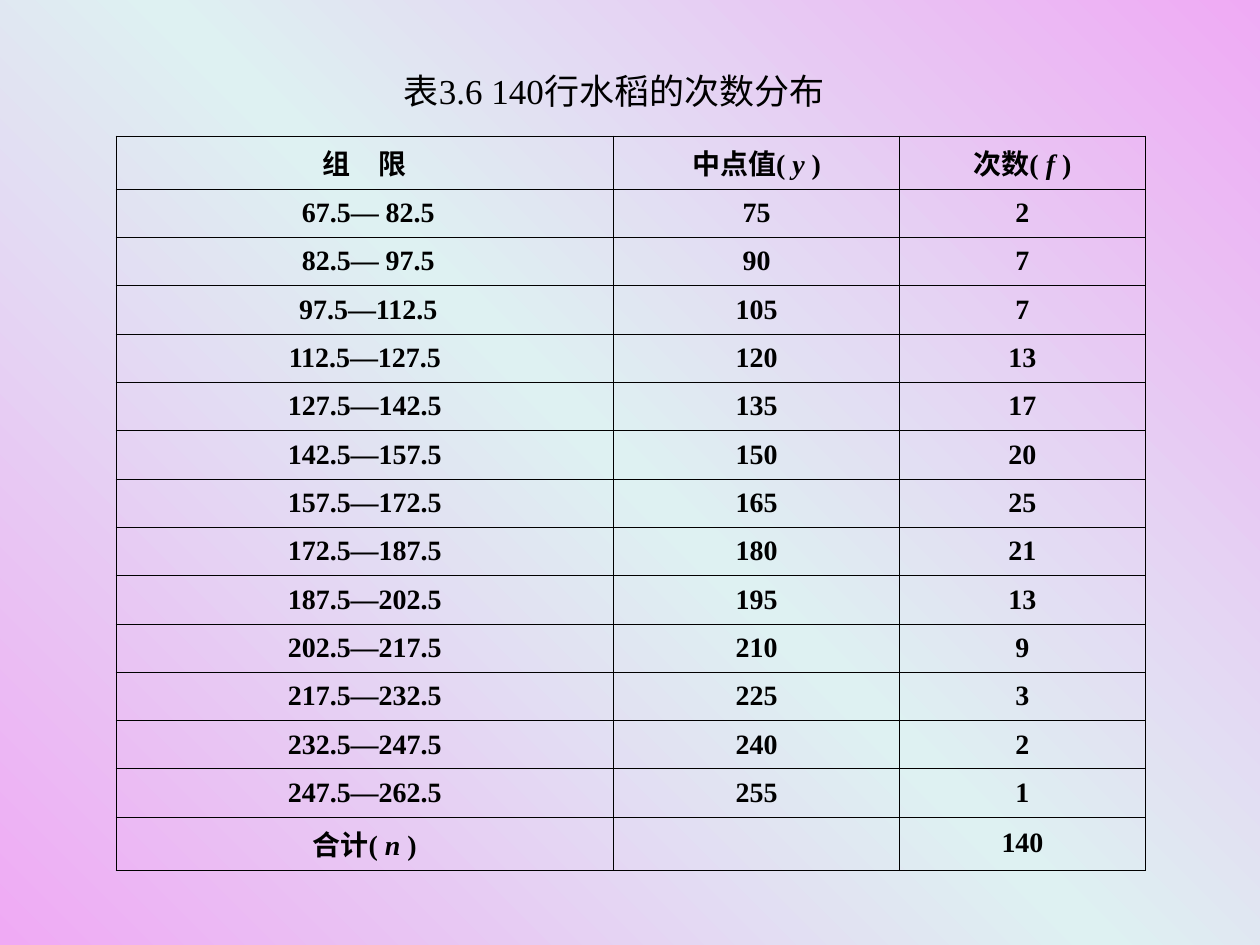
from copy import deepcopy
from dataclasses import dataclass
from pptx import Presentation
from pptx.dml.color import RGBColor as Rgb
from pptx.enum.text import MSO_ANCHOR as Anchor, MSO_AUTO_SIZE as Auto, PP_ALIGN as Align
from pptx.oxml import parse_xml
from pptx.oxml.ns import nsdecls
from pptx.util import Inches, Pt

HUES = {"ink": "000000", "pink": "EFAAF4", "mint": "DEF1F2"}
FONT = "Times New Roman"
WIDE, HIGH = 10, 7.5
LEFT, TOP, TALL = 0.92, 1.08, 5.83
COLS = (3.95, 2.27, 1.95)
EDGE_ROW = 0.42
THIN, BOLD = 0.34, 0.45
STEP = 15
COUNTS = (2, 7, 7, 13, 17, 20, 25, 21, 13, 9, 3, 2, 1)


@dataclass
class Entry:
    text: str
    symbol: str = ""
    indent: float = 0


def write(frame, text: str, symbol: str = "", size: float = 16,
          bold: bool = True, indent: float = 0) -> None:
    para = frame.paragraphs[0]
    para.alignment = Align.CENTER
    if indent:
        para._p.get_or_add_pPr().set("marL", str(Pt(indent)))
    parts = [(text, False)]
    if symbol:
        parts = [(text + "( ", False), (symbol + " ", True), (")", False)]
    for words, slant in parts:
        run = para.add_run()
        run.text = words
        font = run.font
        font.name, font.size = FONT, Pt(size)
        font.bold, font.italic = bold, slant
        font.color.rgb = Rgb.from_string(HUES["ink"])


def rule(cell, above: float, below: float) -> None:
    props = cell._tc.get_or_add_tcPr()
    for side, width in (("L", THIN), ("R", THIN), ("T", above), ("B", below)):
        props.append(parse_xml(
            f'<a:ln{side} {nsdecls("a")} w="{Pt(width)}"><a:solidFill>'
            f'<a:srgbClr val="{HUES["ink"]}"/></a:solidFill></a:ln{side}>'))
    cell.fill.background()


def paint(slide) -> None:
    fill = slide.background.fill
    fill.gradient()
    fill.gradient_angle = 45
    first = fill.gradient_stops[0]._gs
    first.addnext(deepcopy(first))
    for stop, spot, hue in zip(fill.gradient_stops, (0, 0.5, 1), ("pink", "mint", "pink")):
        stop.position = spot
        stop.color.rgb = Rgb.from_string(HUES[hue])


def span(low: float) -> Entry:
    high = low + STEP
    gap = " " if high < 100 else ""
    return Entry(f"{low}—{gap}{high}", indent=4 if low < 100 else 0)


def entries() -> list[list[Entry]]:
    head = [Entry("组　限"), Entry("中点值", "y"), Entry("次数", "f")]
    body = [[span(67.5 + STEP * i), Entry(str(75 + STEP * i)), Entry(str(count))]
            for i, count in enumerate(COUNTS)]
    foot = [Entry("合计", "n"), Entry(""), Entry(str(sum(COUNTS)))]
    return [head, *body, foot]


def draw(slide, rows: list[list[Entry]]) -> None:
    last = len(rows) - 1
    frame = slide.shapes.add_table(len(rows), len(COLS), Inches(LEFT), Inches(TOP),
                                   Inches(sum(COLS)), Inches(TALL))
    table = frame.table
    table.first_row = table.horz_banding = False
    for col, width in zip(table.columns, COLS):
        col.width = Inches(width)
    strong = {0, 1, last, last + 1}
    inner = (TALL - 2 * EDGE_ROW) / (last - 1)
    for r, row in enumerate(rows):
        table.rows[r].height = Inches(EDGE_ROW if r in (0, last) else inner)
        above, below = (BOLD if n in strong else THIN for n in (r, r + 1))
        for c, entry in enumerate(row):
            cell = table.cell(r, c)
            cell.vertical_anchor = Anchor.MIDDLE
            rule(cell, above, below)
            if entry.text:
                write(cell.text_frame, entry.text, entry.symbol, indent=entry.indent)


def main() -> None:
    deck = Presentation()
    deck.slide_width, deck.slide_height = Inches(WIDE), Inches(HIGH)
    slide = deck.slides.add_slide(deck.slide_layouts[5])
    paint(slide)
    draw(slide, entries())
    title = slide.shapes.title
    title.left, title.top = Inches(0), Inches(0.5)
    title.width, title.height = Inches(9.75), Inches(0.44)
    frame = title.text_frame
    frame.word_wrap = True
    frame.auto_size = Auto.SHAPE_TO_FIT_TEXT
    frame.vertical_anchor = Anchor.MIDDLE
    write(frame, "表3.6 140行水稻的次数分布", size=20, bold=False)
    deck.save("out.pptx")


if __name__ == "__main__":
    main()
